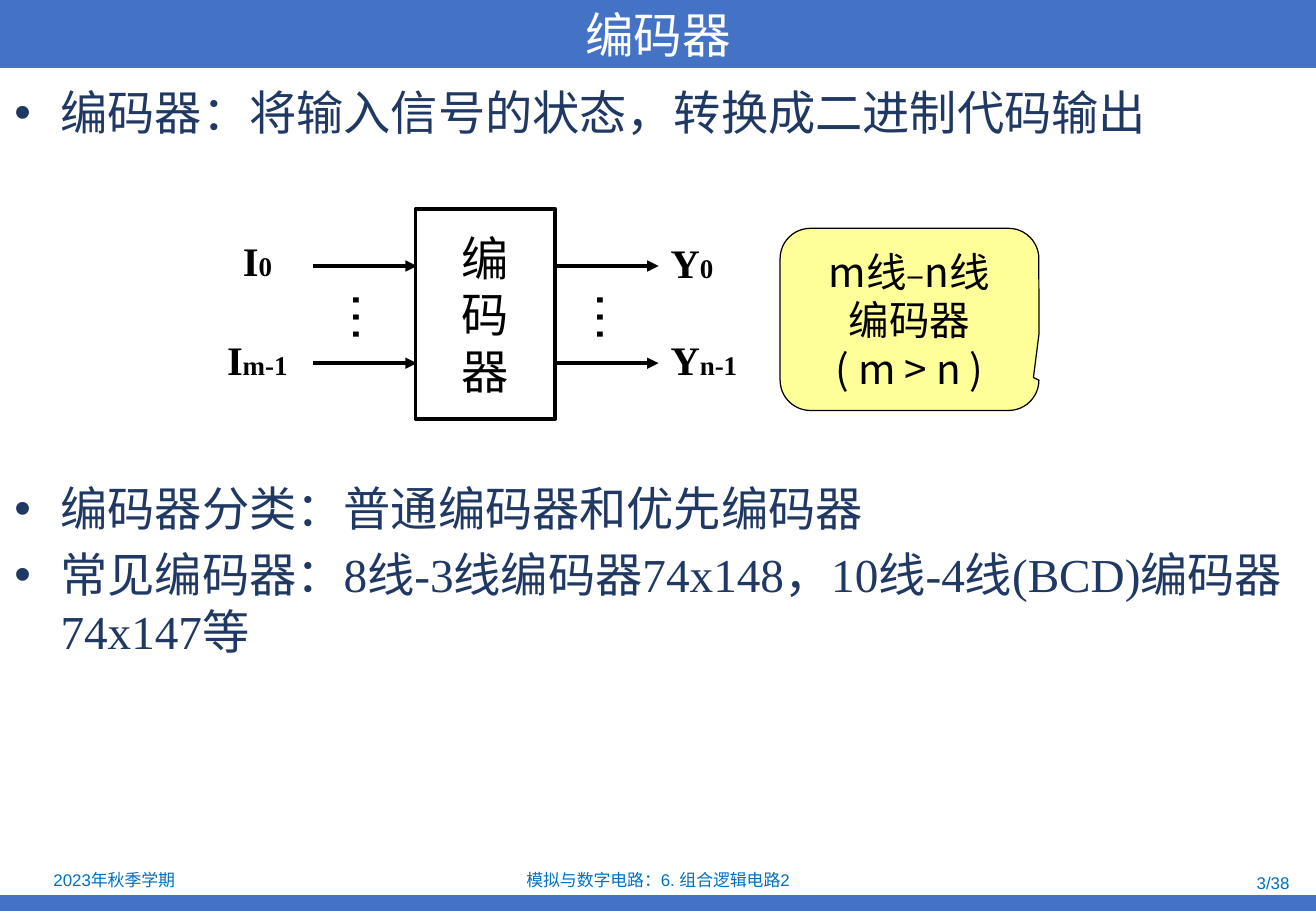
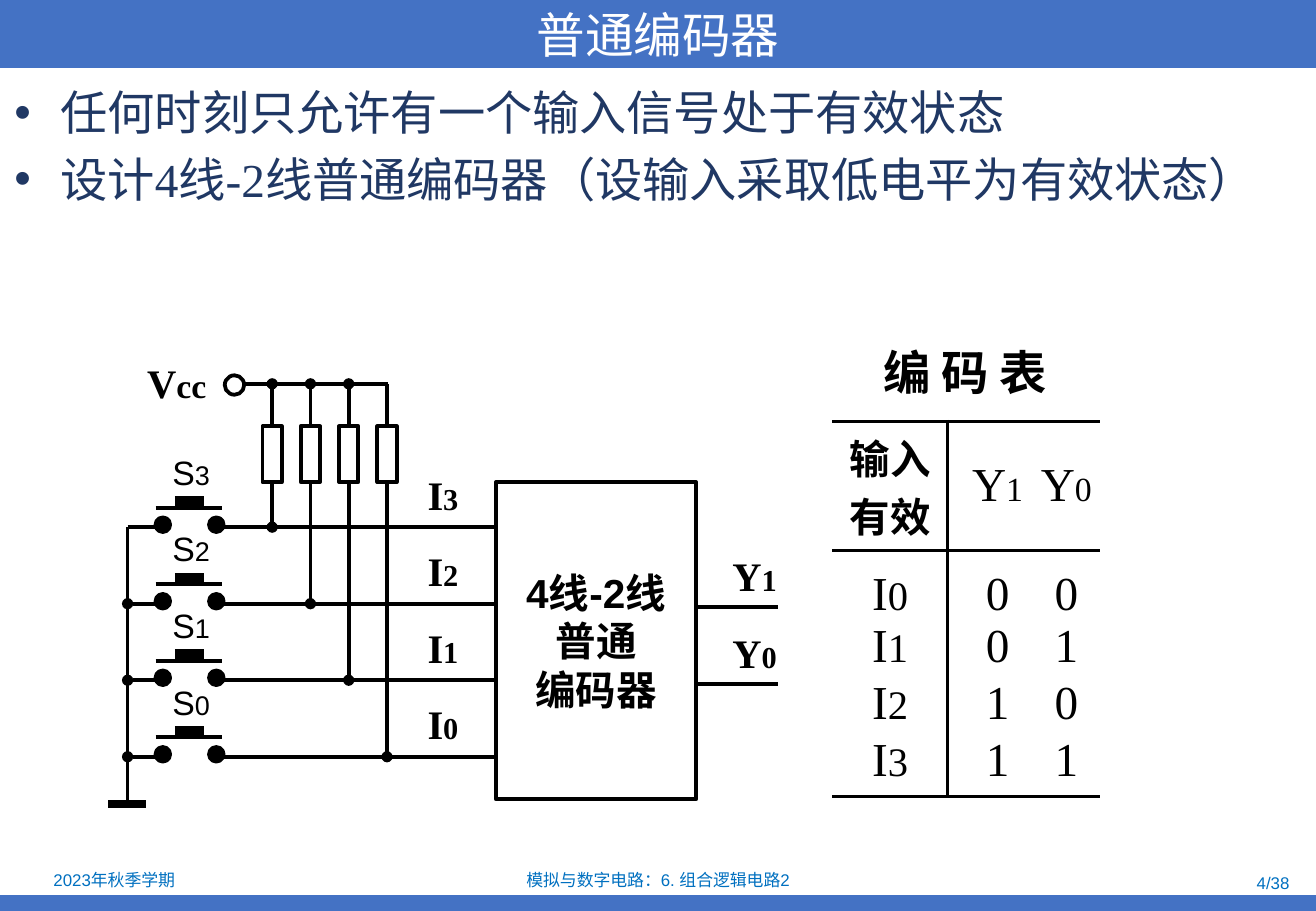
from dataclasses import dataclass, replace
from typing import Any, Optional

from lxml.etree import SubElement
from pptx import Presentation
from pptx.dml.color import RGBColor
from pptx.enum.shapes import MSO_CONNECTOR as Connector, MSO_SHAPE as Preset
from pptx.enum.text import MSO_ANCHOR as Anchor, PP_ALIGN as Align
from pptx.oxml.ns import qn
from pptx.util import Inches, Pt

WIDTH, HEIGHT = 10.83, 7.5
BLUE, NAVY, FOOTER_BLUE = "4472C4", "203864", "0070C0"
BLACK, WHITE, YELLOW = "000000", "FFFFFF", "FFFF99"
SANS, SERIF, CHINESE = "Arial", "Times New Roman", "Noto Sans CJK SC"
LINE = 2.25
NO_INSETS = dict.fromkeys(("margin_left", "margin_top", "margin_right", "margin_bottom"), 0)

Run = tuple[str, Optional[float]]  # text, and a size that differs from the style
Box = tuple[float, float, float, float]  # left, top, width, height


@dataclass(frozen=True)
class TextStyle:
    size: float
    font: str = SERIF
    color: str = BLACK
    bold: bool = False
    align: Any = Align.LEFT


@dataclass(frozen=True)
class Wire:
    x1: float
    y1: float
    x2: float
    y2: float
    width: float = LINE
    head: Optional[str] = None
    tail: Optional[str] = None


@dataclass(frozen=True)
class Bullet:
    text: str
    space_before: float = 5.6


TITLE = TextStyle(28.8, CHINESE, WHITE, align=Align.CENTER)
BODY = TextStyle(28, color=NAVY)
FOOTER = TextStyle(10, SANS, FOOTER_BLUE, align=Align.CENTER)
SIGNAL = TextStyle(24, bold=True)
SWITCH = TextStyle(20, SANS)
CODE = TextStyle(28, align=Align.CENTER)


def rgb(color: str) -> RGBColor:
    return RGBColor.from_string(color)


def set_all(target: Any, values: dict[str, Any]) -> None:
    for name, value in values.items():
        setattr(target, name, value)


def write(frame: Any, lines: list[list[Run]], style: TextStyle) -> None:
    """Fill a text frame, one list of runs for each paragraph."""
    for index, runs in enumerate(lines):
        paragraph = frame.paragraphs[0] if index == 0 else frame.add_paragraph()
        paragraph.alignment = style.align
        for text, size in runs:
            run = paragraph.add_run()
            run.text = text
            set_all(run.font, {"size": Pt(size or style.size), "name": style.font,
                               "bold": style.bold})
            run.font.color.rgb = rgb(style.color)
            SubElement(run.font._element, qn("a:ea")).set("typeface", CHINESE)


def plain(*texts: str) -> list[list[Run]]:
    return [[(text, None)] for text in texts]


def subscripted(letter: str, index: str, size: float) -> list[list[Run]]:
    return [[(letter, None), (index, size)]]


def add_text(slide: Any, box: Box, lines: list[list[Run]], style: TextStyle,
             **frame_format: Any) -> Any:
    shape = slide.shapes.add_textbox(*map(Inches, box))
    set_all(shape.text_frame, {"word_wrap": False, **frame_format})
    write(shape.text_frame, lines, style)
    return shape


def add_preset(slide: Any, preset: Any, box: Box, fill: Optional[str] = None,
               line: Optional[float] = None) -> Any:
    shape = slide.shapes.add_shape(preset, *map(Inches, box))
    shape.shadow.inherit = False
    if fill:
        shape.fill.solid()
        shape.fill.fore_color.rgb = rgb(fill)
    else:
        shape.fill.background()
    if line:
        shape.line.width = Pt(line)
        shape.line.color.rgb = rgb(BLACK)
    else:
        shape.line.fill.background()
    set_all(shape.text_frame, {"word_wrap": False, "vertical_anchor": Anchor.MIDDLE})
    return shape


def add_wire(slide: Any, wire: Wire) -> None:
    ends = map(Inches, (wire.x1, wire.y1, wire.x2, wire.y2))
    connector = slide.shapes.add_connector(Connector.STRAIGHT, *ends)
    connector.line.width = Pt(wire.width)
    connector.line.color.rgb = rgb(BLACK)
    for tag, kind in (("a:headEnd", wire.head), ("a:tailEnd", wire.tail)):
        if kind:
            SubElement(connector.line._get_or_add_ln(), qn(tag)).set("type", kind)
    SubElement(connector._element.spPr, qn("a:effectLst"))


def add_bullets(slide: Any, bullets: list[Bullet]) -> None:
    body = add_text(slide, (0.02, 0.64, 10.81, 6.5),
                    plain(*(bullet.text for bullet in bullets)), BODY, word_wrap=True)
    for index, (paragraph, bullet) in enumerate(zip(body.text_frame.paragraphs, bullets)):
        if index:
            paragraph.space_before = Pt(bullet.space_before)
        properties = paragraph._p.get_or_add_pPr()
        properties.set("marL", str(Inches(0.38)))
        properties.set("indent", str(-Inches(0.38)))
        SubElement(properties, qn("a:buFont")).set("typeface", SANS)
        SubElement(properties, qn("a:buChar")).set("char", "•")


def add_page(presentation: Any, title: str, number: int, bullets: list[Bullet]) -> Any:
    """Add a slide with the title band, bullets and footer that all slides share."""
    slide = presentation.slides.add_slide(presentation.slide_layouts[6])
    add_preset(slide, Preset.RECTANGLE, (0, 7.37, WIDTH, 0.13), BLUE)
    band = add_preset(slide, Preset.RECTANGLE, (0, 0, WIDTH, 0.56), BLUE)
    write(band.text_frame, plain(title), TITLE)
    add_bullets(slide, bullets)
    footers = (
        ((0.02, 7.13, 1.84, 0.23), "2023年秋季学期", Align.CENTER),
        ((3.7, 7.14, 3.43, 0.21), "模拟与数字电路：6. 组合逻辑电路2", Align.CENTER),
        ((8.18, 7.16, 2.53, 0.21), f"{number}/38", Align.RIGHT),
    )
    for box, text, align in footers:
        add_text(slide, box, plain(text), replace(FOOTER, align=align),
                 word_wrap=True, vertical_anchor=Anchor.MIDDLE)
    return slide


def build_encoder_slide(presentation: Any) -> None:
    slide = add_page(presentation, "编码器", 3, [
        Bullet("编码器：将输入信号的状态，转换成二进制代码输出"),
        Bullet("编码器分类：普通编码器和优先编码器", 201),
        Bullet("常见编码器：8线-3线编码器74x148，10线-4线(BCD)编码器74x147等"),
    ])
    callout = add_preset(slide, Preset.ROUNDED_RECTANGULAR_CALLOUT,
                         (6.42, 1.88, 2.13, 1.5), YELLOW, 0.75)
    for index, value in enumerate((0.479, 0.319, 0.167)):
        callout.adjustments[index] = value
    write(callout.text_frame,
          [[("m线", None), ("–", 20), ("n线", None)], *plain("编码器", "( m > n )")],
          TextStyle(24, CHINESE, align=Align.CENTER))

    encoder = add_preset(slide, Preset.RECTANGLE, (3.42, 1.72, 1.15, 1.73), line=LINE)
    set_all(encoder.text_frame, {"margin_top": 0, "margin_bottom": 0})
    write(encoder.text_frame, plain(*"编码器"), TextStyle(28, CHINESE, align=Align.CENTER))

    for y in (2.19, 2.99):
        for x in (2.58, 4.57):
            add_wire(slide, Wire(x, y, x + 0.85, y, tail="triangle"))
    for x in (2.82, 4.83):
        dots = add_text(slide, (x, 2.39, 0.53, 0.44), plain("…"),
                        TextStyle(32, SANS, align=Align.CENTER), **NO_INSETS)
        dots.text_frame._txBody.bodyPr.set("vert", "eaVert")
    labels = (
        ("I", "0", (1.9, 1.89, 0.44, 0.5)),
        ("I", "m-1", (1.77, 2.71, 0.7, 0.5)),
        ("Y", "0", (5.42, 1.91, 0.55, 0.5)),
        ("Y", "n-1", (5.42, 2.71, 0.75, 0.5)),
    )
    for letter, index, box in labels:
        add_text(slide, box, subscripted(letter, index, 16), SIGNAL)


def draw_switch_row(slide: Any, row: int, y: float) -> None:
    """Draw the push button, pull-up resistor and input wire of one input."""
    index = str(3 - row)
    resistor_x = 2.24 + row * 0.315
    wires = (
        Wire(1.05, y, 1.28, y, head="oval" if row else None),
        Wire(1.28, y - 0.16, 1.83, y - 0.16),
        Wire(1.44, y - 0.2, 1.68, y - 0.2, width=8),
        Wire(1.83, y, 4.08, y),
        Wire(resistor_x, y, resistor_x, 3.16, head="oval", tail="oval" if row < 3 else None),
    )
    for wire in wires:
        add_wire(slide, wire)
    for x in (1.28, 1.72):
        add_preset(slide, Preset.OVAL, (x, y - 0.08, 0.12, 0.12), BLACK, LINE)
    add_preset(slide, Preset.RECTANGLE, (resistor_x - 0.08, 3.51, 0.16, 0.46), WHITE, LINE)
    add_text(slide, (1.32, y - 0.67, 0.51, 0.43), subscripted("S", index, 16), SWITCH)
    add_text(slide, (3.42, y - 0.52, 0.46, 0.5), subscripted("I", index, 18), SIGNAL)


def set_borders(cell: Any, ruled: dict[str, bool]) -> None:
    """Rule the named sides of a cell and leave the others clear."""
    properties = cell._tc.get_or_add_tcPr()
    for position, (side, shown) in enumerate(ruled.items()):
        border = SubElement(properties, qn(f"a:{side}"), w=str(Pt(LINE)))
        fill = SubElement(border, qn("a:solidFill" if shown else "a:noFill"))
        if shown:
            SubElement(fill, qn("a:srgbClr"), val=BLACK)
        properties.insert(position, border)


def draw_code_table(slide: Any) -> None:
    add_text(slide, (7.16, 2.78, 1.57, 0.57), plain("编 码 表"), replace(CODE, bold=True))
    heights, widths = (1.06, 0.58, 0.47, 0.47, 0.51), (0.95, 0.7, 0.55)
    anchors = (Anchor.MIDDLE, Anchor.BOTTOM, Anchor.TOP, Anchor.TOP, Anchor.TOP)
    rows = [[plain("输入", "有效"), subscripted("Y", "1", 20), subscripted("Y", "0", 20)]]
    for number in range(4):
        rows.append([subscripted("I", str(number), 24), *map(plain, f"{number:02b}")])

    table = slide.shapes.add_table(len(rows), len(widths), Inches(6.85), Inches(3.47),
                                   Inches(sum(widths)), Inches(sum(heights))).table
    set_all(table, {"first_row": False, "horz_banding": False})
    for column, width in zip(table.columns, widths):
        column.width = Inches(width)
    for row, (height, anchor, texts) in enumerate(zip(heights, anchors, rows)):
        table.rows[row].height = Inches(height)
        for column, lines in enumerate(texts):
            cell = table.cell(row, column)
            set_all(cell, {**NO_INSETS, "vertical_anchor": anchor,
                           "margin_left": Inches(0.12 if column == 1 else 0)})
            cell.fill.background()
            set_borders(cell, {"lnL": column == 1, "lnR": column == 0,
                               "lnT": row < 2, "lnB": row in (0, len(rows) - 1)})
            corner = row == column == 0
            write(cell.text_frame, lines,
                  TextStyle(24, SANS, bold=True, align=Align.CENTER) if corner else CODE)


def build_plain_encoder_slide(presentation: Any) -> None:
    slide = add_page(presentation, "普通编码器", 4, [
        Bullet("任何时刻只允许有一个输入信号处于有效状态"),
        Bullet("设计4线-2线普通编码器（设输入采取低电平为有效状态）"),
    ])
    for row in range(4):
        draw_switch_row(slide, row, 4.34 + row * 0.63)
    supply, ground = Wire(2.01, 3.16, 3.19, 3.16), Wire(1.05, 4.34, 1.05, 6.62)
    for wire in (supply, ground, Wire(0.89, 6.62, 1.2, 6.62, width=4.5)):
        add_wire(slide, wire)
    add_preset(slide, Preset.OVAL, (1.85, 3.09, 0.16, 0.16), line=LINE)
    add_text(slide, (1.21, 2.95, 0.49, 0.4), subscripted("V", "cc", 20),
             replace(SIGNAL, align=Align.CENTER), vertical_anchor=Anchor.MIDDLE, **NO_INSETS)

    encoder = add_preset(slide, Preset.RECTANGLE, (4.08, 3.97, 1.65, 2.61), line=LINE)
    write(encoder.text_frame, plain("4线-2线", "普通", "编码器"),
          TextStyle(24, SANS, bold=True, align=Align.CENTER))
    for index, y in (("1", 5), ("0", 5.63)):
        add_wire(slide, Wire(5.73, y, 6.4, y))
        add_text(slide, (5.93, y - 0.51, 0.57, 0.5), subscripted("Y", index, 18), SIGNAL)
    draw_code_table(slide)


def main() -> None:
    presentation = Presentation()
    set_all(presentation, {"slide_width": Inches(WIDTH), "slide_height": Inches(HEIGHT)})
    build_encoder_slide(presentation)
    build_plain_encoder_slide(presentation)
    presentation.save("out.pptx")


if __name__ == "__main__":
    main()
